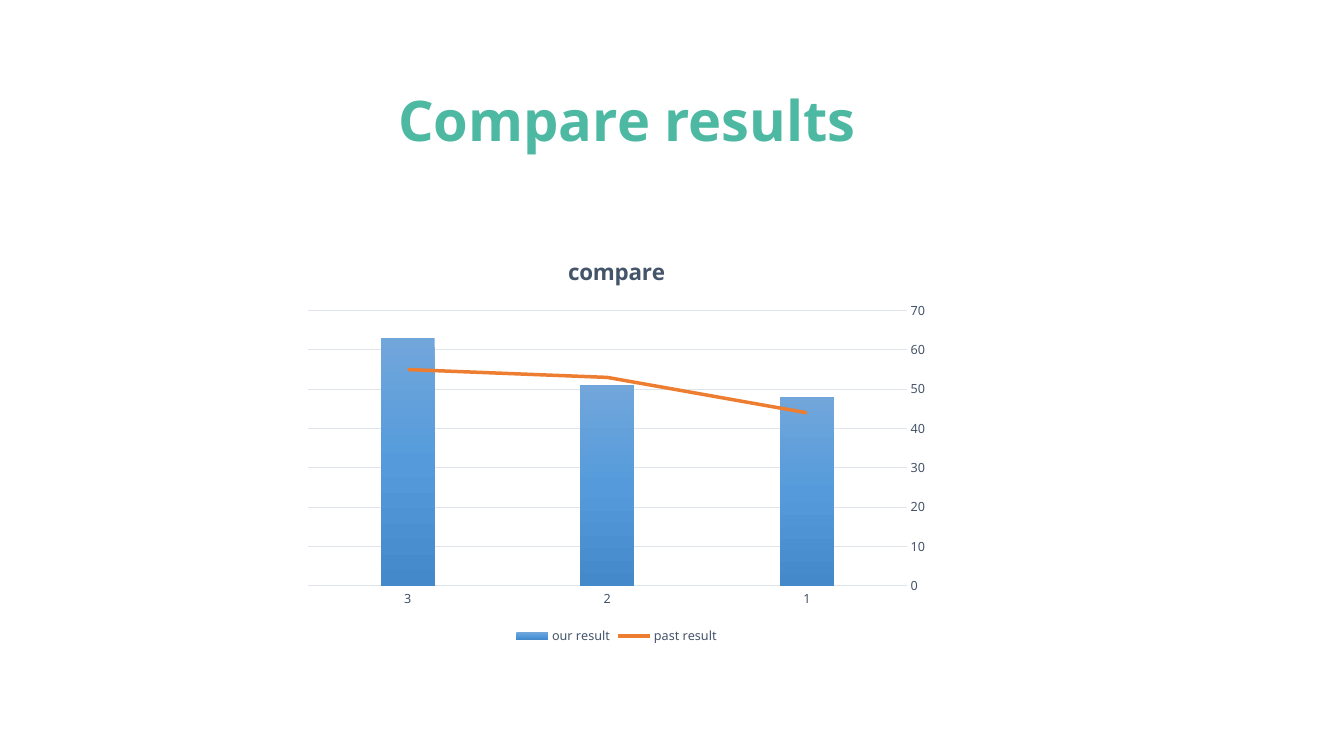
from copy import deepcopy

from lxml import etree
from pptx import Presentation
from pptx.chart.data import CategoryChartData
from pptx.dml.color import RGBColor
from pptx.enum.chart import (XL_CHART_TYPE, XL_LEGEND_POSITION,
                             XL_MARKER_STYLE, XL_TICK_MARK)
from pptx.enum.text import MSO_ANCHOR, PP_ALIGN
from pptx.oxml.ns import qn
from pptx.util import Emu, Pt

SCALE = 914400 / 100.8
FONT = "Noto Sans"
COLORS = {"title": "4EB9A3", "text": "44546A", "grid": "E0E5EB",
          "top": "71A6DB", "mid": "559BDB", "low": "448ACA",
          "past": "ED7D31"}
COLUMN = XL_CHART_TYPE.COLUMN_CLUSTERED
BOTTOM = XL_LEGEND_POSITION.BOTTOM
NO_MARK = XL_MARKER_STYLE.NONE
NO_TICK = XL_TICK_MARK.NONE
MIDDLE = MSO_ANCHOR.MIDDLE
CENTER = PP_ALIGN.CENTER


def px(size):
    """Turn pixels into EMU."""
    return Emu(round(size * SCALE))


def rgb(name):
    """Look up a named colour."""
    return RGBColor.from_string(COLORS[name])


def style(font, size, color="text", bold=False):
    """Set the face, size, colour and weight of a font."""
    font.name, font.size, font.bold = FONT, Pt(size), bold
    font.color.rgb = rgb(color)


def stroke(line, color, width):
    """Set the colour and width of a line."""
    line.color.rgb = rgb(color)
    line.width = Pt(width)


def write(frame, text, align=CENTER, spacing=None, **look):
    """Put one formatted paragraph into a text frame."""
    para = frame.paragraphs[0]
    para.alignment, para.line_spacing = align, spacing
    run = para.add_run()
    run.text = text
    style(run.font, **look)


def add_title(slide, box):
    """Place the slide title in the box."""
    frame = slide.shapes.add_textbox(*map(px, box)).text_frame
    frame.word_wrap = True
    frame.vertical_anchor = MIDDLE
    write(frame, "Compare results", spacing=0.9, size=40,
          color="title", bold=True)


def split_line(chart):
    """Move the second series into a line plot on the same axes."""
    bars = chart.plots[0]
    group = next(chart.element.iter(qn("c:barChart")))
    series = group.findall(qn("c:ser"))[1]
    for flag in series.findall(qn("c:invertIfNegative")):
        series.remove(flag)
    lines = etree.SubElement(group.getparent(), qn("c:lineChart"))
    group.addnext(lines)
    etree.SubElement(lines, qn("c:grouping"), val="standard")
    etree.SubElement(lines, qn("c:varyColors"), val="0")
    lines.append(series)
    etree.SubElement(lines, qn("c:marker"), val="1")
    for axis in group.findall(qn("c:axId")):
        lines.append(deepcopy(axis))
    return bars.series[0], chart.plots[1].series[0]


def shade(chart, fill):
    """Fill the columns with a three-stop gradient from the top down."""
    fill.gradient()
    fill.gradient_angle = 270
    stops = next(chart.element.iter(qn("a:gsLst")))
    stops.insert(1, deepcopy(stops[0]))
    for stop, name, place in zip(fill.gradient_stops,
                                 ("top", "mid", "low"), (0, 0.5, 1)):
        stop.color.rgb = rgb(name)
        stop.position = place


def set_axes(chart):
    """Format the reversed category axis and the value axis."""
    cats, vals = chart.category_axis, chart.value_axis
    for axis in (cats, vals):
        axis.major_tick_mark = axis.minor_tick_mark = NO_TICK
        style(axis.tick_labels.font, 9)
    cats.reverse_order = True
    cats.has_major_gridlines = False
    stroke(cats.format.line, "grid", 0.75)
    vals.minimum_scale, vals.maximum_scale, vals.major_unit = 0, 70, 10
    vals.format.line.fill.background()
    stroke(vals.major_gridlines.format.line, "grid", 0.75)


def add_results(slide, box):
    """Place the column and line chart in the box."""
    data = CategoryChartData()
    data.categories = ["1", "2", "3"]
    data.add_series("our result", (48, 51, 63))
    data.add_series("past result", (44, 53, 55))
    chart = slide.shapes.add_chart(COLUMN, *map(px, box), data).chart
    style(chart.font, 10)
    chart.has_title = True
    write(chart.chart_title.text_frame, "compare", size=16, bold=True)
    chart.chart_title.include_in_layout = False
    chart.has_legend = True
    chart.legend.position = BOTTOM
    chart.legend.include_in_layout = False
    style(chart.legend.font, 9)
    set_axes(chart)
    plot = chart.plots[0]
    plot.gap_width, plot.overlap = 269, -27
    plot.vary_by_categories = False
    ours, past = split_line(chart)
    shade(chart, ours.format.fill)
    past.smooth = False
    past.marker.style = NO_MARK
    stroke(past.format.line, "past", 2.5)


deck = Presentation()
deck.slide_width, deck.slide_height = px(1344), px(756)
page = deck.slides.add_slide(deck.slide_layouts[6])
add_title(page, (119, 50, 1016, 146))
add_results(page, (295, 237, 643, 412))
deck.save("out.pptx")
